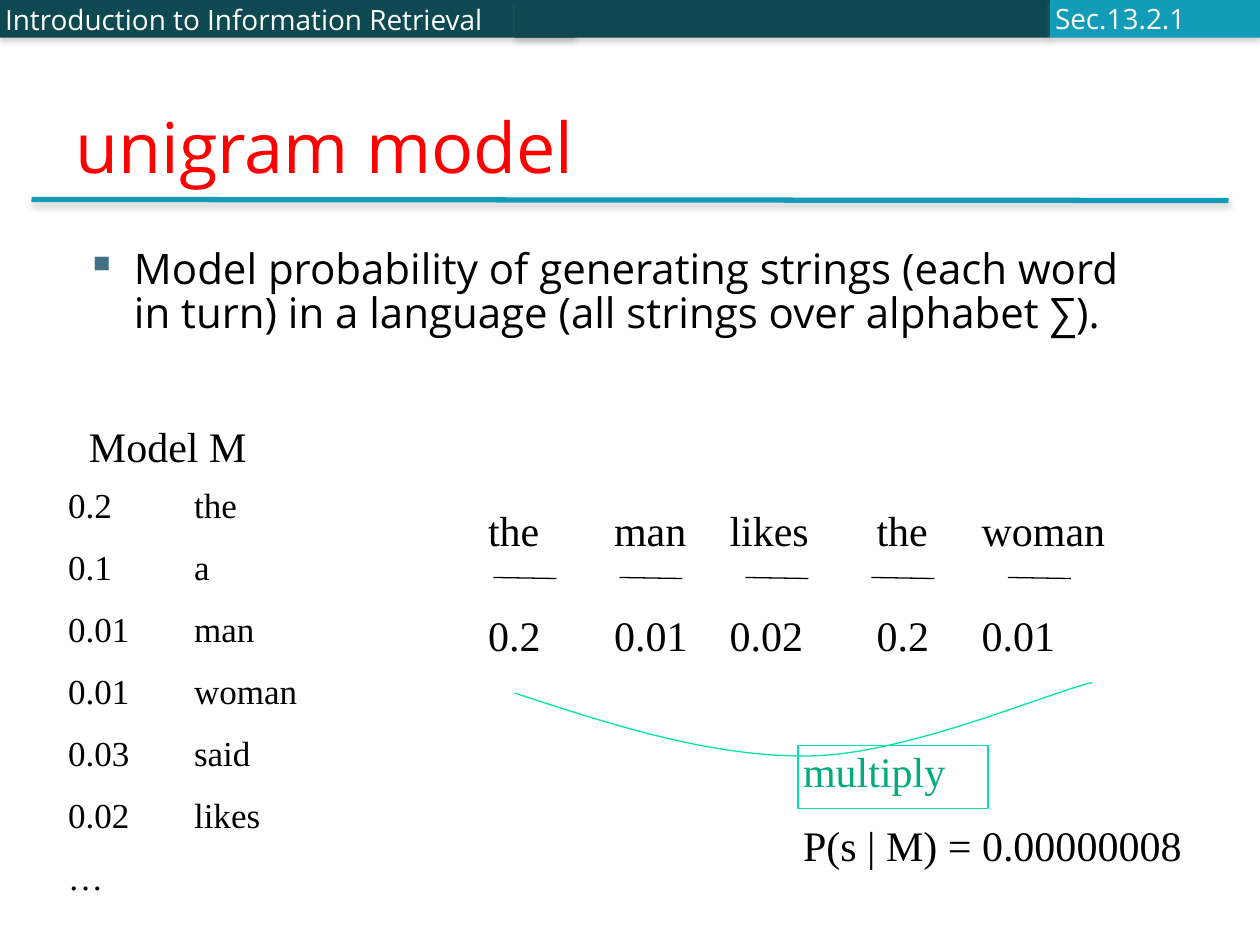
from lxml.etree import SubElement
from pptx import Presentation
from pptx.dml.color import RGBColor
from pptx.enum.shapes import MSO_CONNECTOR as LINK, MSO_SHAPE as SHAPE
from pptx.enum.text import MSO_ANCHOR as ANCHOR
from pptx.oxml.ns import qn
from pptx.util import Inches, Pt

UNIT = Inches(1) // 12
SERIF, SANS = "Times New Roman", "Open Sans"
TEAL, DARK, GREEN = "139CB7", "0E4851", "00E4A8"


def grid(*values):
    return [round(value * UNIT) for value in values]


def color(value):
    return RGBColor.from_string(value)


def add_effects(shape, opacity=None):
    effects = SubElement(shape._element.spPr, qn("a:effectLst"))
    if opacity:
        shadow = SubElement(effects, qn("a:outerShdw"), blurRad=str(Pt(3)),
                            dist=str(Pt(2)), dir="5400000", rotWithShape="0")
        tint = SubElement(shadow, qn("a:srgbClr"), val="808080")
        SubElement(tint, qn("a:alpha"), val=str(opacity * 1000))


def write(box, text, *, size=24, font=SERIF, ink="000000", anchor=ANCHOR.TOP,
          before=13.5, spacing=None, insets=(0, 0, 0.04, 0), margin=0.04,
          indent=0, bullet=None, wrap=True):
    frame = box.text_frame
    frame.word_wrap = wrap
    frame.vertical_anchor = anchor
    (frame.margin_left, frame.margin_top,
     frame.margin_right, frame.margin_bottom) = map(Inches, insets)
    frame.text = text
    for para in frame.paragraphs:
        para.space_before = Pt(before)
        para.line_spacing = spacing
        props = para._p.get_or_add_pPr()
        props.set("marL", str(Inches(margin)))
        props.set("indent", str(Inches(indent)))
        props.set("defTabSz", str(Inches(1)))
        props.set("algn", "l")
        if bullet:
            tint = SubElement(props, qn("a:buClr"))
            SubElement(tint, qn("a:srgbClr"), val="437085")
            SubElement(props, qn("a:buChar"), char=bullet)
        for span in para.runs:
            span.font.size = Pt(size)
            span.font.name = font
            span.font.color.rgb = color(ink)


def add_text(page, area, text, **style):
    write(page.shapes.add_textbox(*grid(*area)), text, **style)


def add_bar(page, left, width, fill):
    bar = page.shapes.add_shape(SHAPE.RECTANGLE, *grid(left, 0, width, 3.6))
    bar.fill.solid()
    bar.fill.fore_color.rgb = color(fill)
    bar.line.fill.background()
    add_effects(bar, 35)


def add_rule(page, left, top, width, ink, weight, opacity=None):
    rule = page.shapes.add_connector(
        LINK.STRAIGHT, *grid(left, top, left + width, top + 0.1))
    rule.line.color.rgb = color(ink)
    rule.line.width = Pt(weight)
    add_effects(rule, opacity)


def add_curve(page, start, points, ink):
    builder = page.shapes.build_freeform(*grid(*start), scale=1.0)
    builder.add_line_segments([grid(*point) for point in points], close=False)
    curve = builder.convert_to_shape()
    segments = list(curve._element.iter(qn("a:lnTo")))
    for first in range(0, len(segments), 3):
        outline = segments[first].getparent()
        bend = SubElement(outline, qn("a:cubicBezTo"))
        for segment in segments[first:first + 3]:
            bend.append(segment[0])
            outline.remove(segment)
    curve.fill.background()
    curve.line.color.rgb = color(ink)
    curve.line.width = Pt(0.75)
    curve.shadow.inherit = False


def add_header(page):
    add_bar(page, 0, 54.8, DARK)
    add_text(page, (0, -1.8, 54.8, 7.3), "Introduction to Information Retrieval",
             size=16, font=SANS, ink="FFFFFF", anchor=ANCHOR.MIDDLE, before=0)
    add_bar(page, 49, 51, DARK)
    add_bar(page, 100, 20, TEAL)
    add_text(page, (100, -0.4, 15.6, 4.3), "Sec.13.2.1", size=16, font=SANS,
             ink="FBFCFF", anchor=ANCHOR.MIDDLE, before=0, wrap=False)
    add_rule(page, 3, 19, 114, TEAL, 3, 38)


def add_model(page):
    table = [("0.2", "the"), ("0.1", "a"), ("0.01", "man"),
             ("0.01", "woman"), ("0.03", "said"), ("0.02", "likes")]
    rows = ["\t".join(entry) for entry in table] + ["…"]
    add_text(page, (8, 40, 18, 5.6), "Model M")
    add_text(page, (6, 46, 32, 39.5), "\n".join(rows), size=20, before=11.5)


def add_sentence(page):
    columns = [(46, 8.2, 47, "the", "0.2"), (58, 10.2, 59, "man", "0.01"),
               (69, 10.2, 71, "likes", "0.02"), (83, 10.2, 83, "the", "0.2"),
               (93, 18.1, 96, "woman", "0.01")]
    for left, width, rule_left, word, chance in columns:
        add_text(page, (left, 48, width, 5.6), word)
        add_rule(page, rule_left, 55, 6, "000000", 0.75)
        add_text(page, (left, 58, width, 5.6), chance)


def add_product(page):
    add_curve(page, (49, 66), [(58.4, 69.1), (67.8, 72.1), (77, 72),
                               (86.2, 71.9), (99.5, 66.1), (104, 65)], GREEN)
    box = page.shapes.add_shape(SHAPE.RECTANGLE, *grid(76, 71, 18.1, 6))
    box.fill.background()
    box.line.color.rgb = color(GREEN)
    box.line.width = Pt(0.75)
    box.shadow.inherit = False
    write(box, "multiply", ink="00AB7E")
    add_text(page, (76, 78, 39.1, 5.6), "P(s | M) = 0.00000008")


def main():
    deck = Presentation()
    deck.slide_width, deck.slide_height = grid(120, 90)
    page = deck.slides.add_slide(deck.slide_layouts[6])
    insets = (0.06, 0.06, 0.14, 0.06)
    add_header(page)
    add_text(page, (6, 0, 108, 18.6), "unigram model", size=40, font=SANS,
             ink="FF0000", anchor=ANCHOR.BOTTOM, before=0, insets=insets)
    add_text(page, (7, 23, 104, 40.6),
             "Model probability of generating strings (each word in turn) "
             "in a language (all strings over alphabet ∑).",
             font=SANS, before=7, spacing=0.88, insets=insets,
             margin=0.42, indent=-0.38, bullet="▪")
    add_model(page)
    add_sentence(page)
    add_product(page)
    deck.save("out.pptx")


if __name__ == "__main__":
    main()
